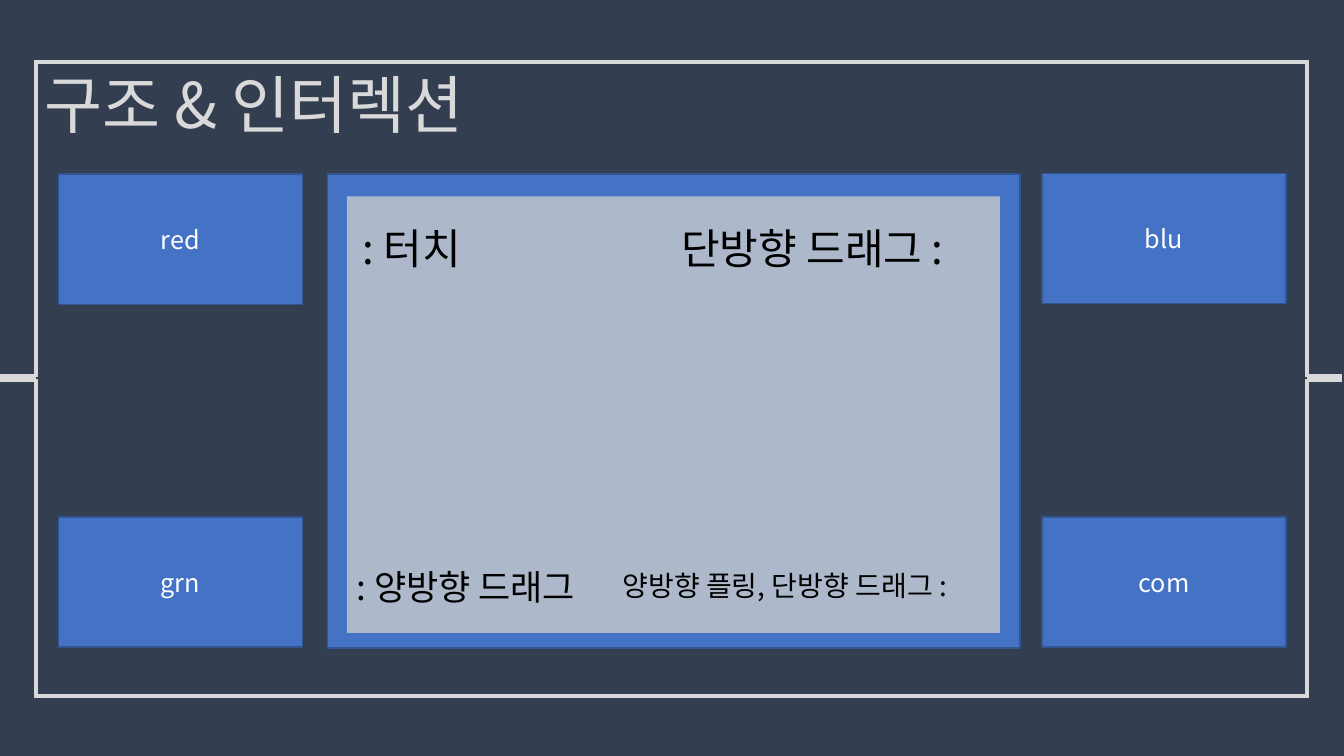
from lxml.etree import SubElement
from pptx import Presentation
from pptx.dml.color import RGBColor
from pptx.enum.shapes import MSO_CONNECTOR, MSO_SHAPE
from pptx.enum.text import MSO_ANCHOR, MSO_AUTO_SIZE, PP_ALIGN
from pptx.oxml.ns import qn
from pptx.util import Cm, Pt

# Content
TITLE = "구조 & 인터렉션"
CARDS = [  # label, left, top (cm)
    ("red", 1.47, 4.39),
    ("com", 26.26, 13.03),
    ("grn", 1.47, 13.03),
    ("blu", 26.26, 4.37),
]
GESTURES = [  # text, size (pt), left, top, width, height (cm)
    (": 터치", 30, 8.89, 5.49, 3.25, 1.55),
    ("단방향 드래그 :", 30, 16.92, 5.49, 7.9, 1.55),
    (": 양방향 드래그", 25, 8.74, 14.12, 6.68, 1.32),
    ("양방향 플링, 단방향 드래그 :", 20, 15.44, 14.2, 9.65, 1.12),
]

# Format and layout (cm)
FONT = "Noto Sans CJK KR"
COLORS = {
    "background": "333F50",
    "blue": "4472C4",
    "outline": "325491",
    "screen": "ADB9CA",
    "frame": "D9D9D9",
    "white": "FFFFFF",
    "black": "000000",
}
SLIDE_SIZE = (33.87, 19.05)
TITLE_BOX = (0.86, 1.52, 12.65, 2.18)
CARD_SIZE = (6.15, 3.28)
DEVICE_BOX = (8.26, 4.39, 17.45, 11.94)
SCREEN_BOX = (8.74, 4.95, 16.46, 11)
FRAME_LEFT, FRAME_RIGHT, FRAME_TOP, FRAME_BOTTOM = 0.91, 32.94, 1.57, 17.53
FRAME_MIDDLE, FRAME_GAP, FRAME_OVERLAP = 9.53, 0.03, 0.05


def color(name):
    return RGBColor.from_string(COLORS[name])


def set_attributes(target, **values):
    for name, value in values.items():
        setattr(target, name, value)


def write(shape, text, size, color_name, align=PP_ALIGN.LEFT, **frame_format):
    frame = shape.text_frame
    set_attributes(frame, **frame_format)
    paragraph = frame.paragraphs[0]
    paragraph.alignment = align
    run = paragraph.add_run()
    run.text = text
    set_attributes(run.font, name=FONT, size=Pt(size))
    run.font.color.rgb = color(color_name)
    SubElement(run._r.get_or_add_rPr(), qn("a:ea")).set("typeface", FONT)


def add_box(slide, box, fill, outline=None):
    shape = slide.shapes.add_shape(MSO_SHAPE.RECTANGLE, *map(Cm, box))
    shape.shadow.inherit = False
    shape.fill.solid()
    shape.fill.fore_color.rgb = color(fill)
    if outline:
        shape.line.color.rgb = color(outline)
        shape.line.width = Pt(1)
    else:
        shape.line.fill.background()
    return shape


def add_line(group, start, end, width):
    line = group.shapes.add_connector(MSO_CONNECTOR.STRAIGHT, *map(Cm, start + end))
    line.line.color.rgb = color("frame")
    line.line.width = Pt(width)
    SubElement(line._element.spPr, qn("a:effectLst"))


def add_frame(slide):
    group = slide.shapes.add_group_shape()
    # Sides, each in two halves, with a stub to the slide edge
    for side, edge in ((FRAME_LEFT, 0), (FRAME_RIGHT, SLIDE_SIZE[0] - 0.05)):
        add_line(group, (edge, FRAME_MIDDLE), (side, FRAME_MIDDLE), 6)
        for end, gap in ((FRAME_TOP, -FRAME_GAP), (FRAME_BOTTOM, FRAME_GAP)):
            add_line(group, (side, FRAME_MIDDLE + gap), (side, end), 3)
    # Top and bottom
    for y in (FRAME_TOP, FRAME_BOTTOM):
        add_line(group, (FRAME_LEFT - FRAME_OVERLAP, y), (FRAME_RIGHT + FRAME_OVERLAP, y), 3)


def main():
    presentation = Presentation()
    width, height = map(Cm, SLIDE_SIZE)
    set_attributes(presentation, slide_width=width, slide_height=height)
    slide = presentation.slides.add_slide(presentation.slide_layouts[5])
    slide.background.fill.solid()
    slide.background.fill.fore_color.rgb = color("background")

    # Device with its screen, and the frame
    add_box(slide, DEVICE_BOX, "blue", "outline")
    add_box(slide, SCREEN_BOX, "screen")
    add_frame(slide)

    # Title
    title = slide.shapes.title
    left, top, width, height = map(Cm, TITLE_BOX)
    set_attributes(title, left=left, top=top, width=width, height=height)
    write(title, TITLE, 45, "frame", vertical_anchor=MSO_ANCHOR.TOP,
          word_wrap=True, auto_size=MSO_AUTO_SIZE.SHAPE_TO_FIT_TEXT)

    # Corner cards
    for label, left, top in CARDS:
        card = add_box(slide, (left, top) + CARD_SIZE, "blue", "outline")
        write(card, label, 18, "white", PP_ALIGN.CENTER, vertical_anchor=MSO_ANCHOR.MIDDLE)

    # Gesture labels
    for text, size, *box in GESTURES:
        label = slide.shapes.add_textbox(*map(Cm, box))
        write(label, text, size, "black", word_wrap=False,
              auto_size=MSO_AUTO_SIZE.SHAPE_TO_FIT_TEXT)

    presentation.save("out.pptx")


if __name__ == "__main__":
    main()
